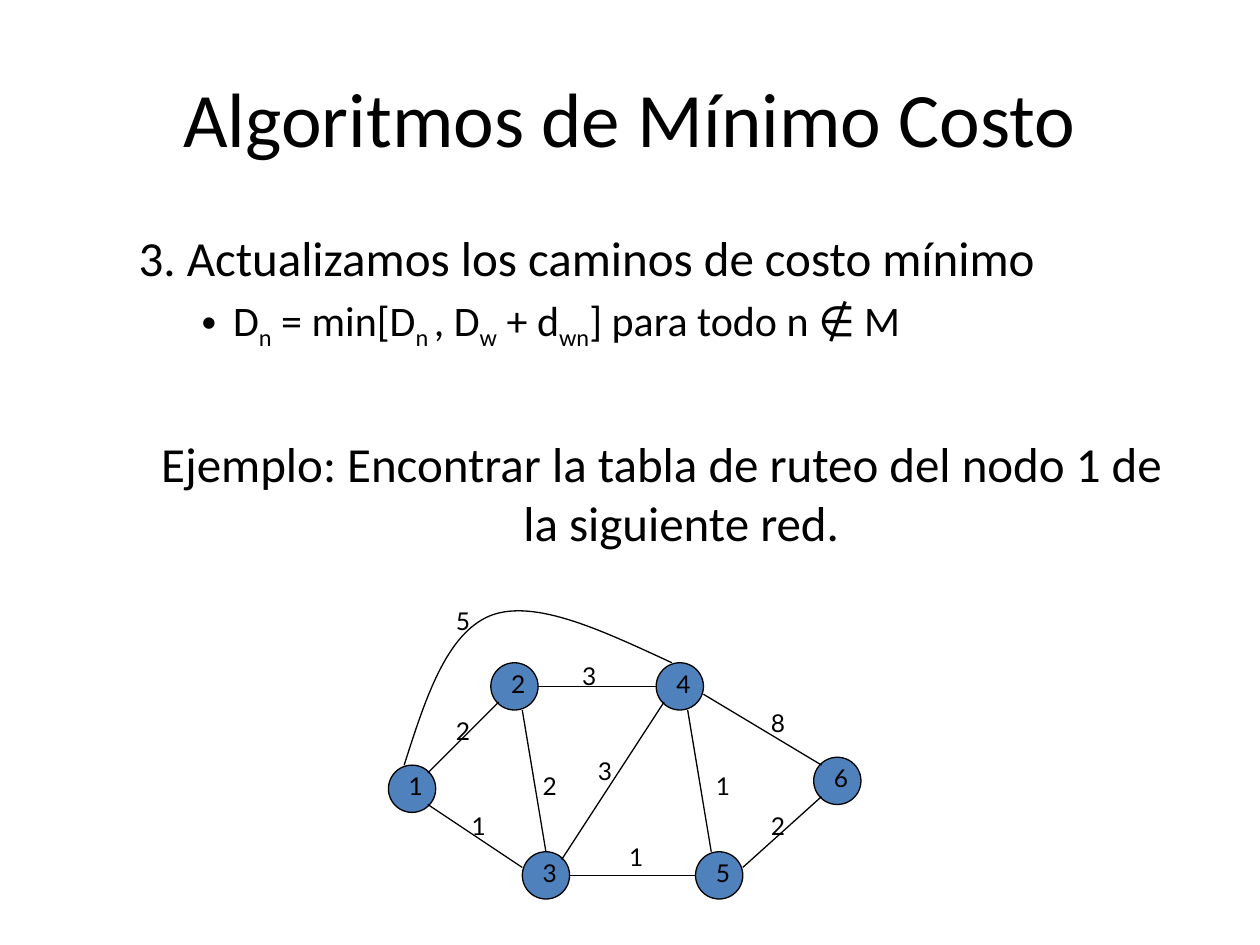
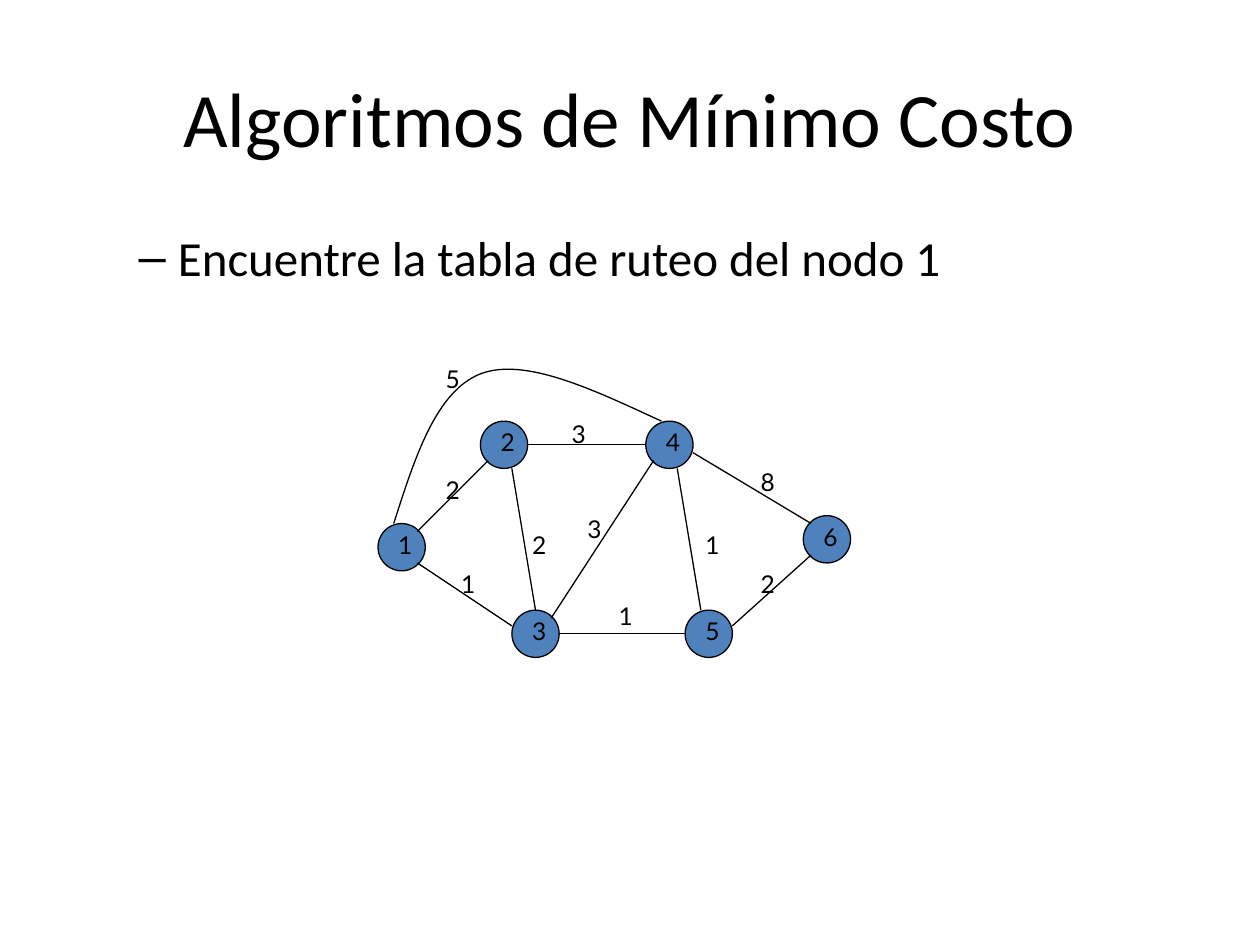
"""Build two slides on minimum-cost routing over a small network."""
from dataclasses import dataclass

from lxml.etree import SubElement
from pptx import Presentation
from pptx.dml.color import RGBColor
from pptx.enum.shapes import MSO_CONNECTOR, MSO_SHAPE
from pptx.enum.text import PP_ALIGN
from pptx.oxml.ns import qn
from pptx.util import Cm, Pt


@dataclass(frozen=True)
class Theme:
    """Colours, fonts and type sizes of both slides."""
    ink: RGBColor = RGBColor(0, 0, 0)
    node: RGBColor = RGBColor(0x4F, 0x81, 0xBD)
    font: str = "Calibri"
    digit: str = "Lato"
    title: int = 44
    main: int = 28
    sub: int = 24
    label: int = 14
    line: float = 0.75


LOOK = Theme()
STEP = Cm(2.54) / 16
SIZE = 6
TITLE = "Algoritmos de Mínimo Costo"
NODES = {1: (0, 13), 2: (13, 0), 3: (17, 24),
         4: (34, 0), 5: (39, 24), 6: (54, 12)}
EDGES = [(5, 14, 14, 5), (5, 18, 17, 26), (17, 6, 20, 24),
         (22, 25, 35, 5), (19, 3, 34, 3), (23, 27, 39, 27),
         (38, 6, 41, 24), (40, 4, 55, 13), (45, 26, 55, 17)]
ARC = [(2, 13), (4.67, 4.67), (7.33, -3.75), (13, -6),
       (18.67, -8.17), (27.33, -4), (36, 0)]
LEFT, MID = PP_ALIGN.LEFT, PP_ALIGN.CENTER
COSTS = [(5, 7, -8, 4, LEFT), (2, 7, 6, 4, LEFT), (1, 9, 18, 3.2, MID),
         (2, 18, 13, 4, MID), (3, 23, -1, 5, MID), (3, 25, 11, 5, MID),
         (1, 29, 22, 3.2, LEFT), (1, 40, 13, 3.2, LEFT),
         (8, 47, 5, 4, LEFT), (2, 47, 18, 4, LEFT)]
RULE = [("D", 0), ("n", 1), (" = min[D", 0), ("n ", 1), (", D", 0),
        ("w", 1), (" + d", 0), ("wn", 1), ("] para todo n ∉ M", 0)]


def style(para, size, face=LOOK.font):
    """Set the font of a paragraph."""
    font = para.font
    font.name, font.size = face, Pt(size)
    font.color.rgb = LOOK.ink


def place(shape, left, top, width, height):
    """Move and size a shape, in centimetres."""
    shape.left, shape.top = Cm(left), Cm(top)
    shape.width, shape.height = Cm(width), Cm(height)


def start(deck):
    """Add a titled slide and return it with its body frame."""
    slide = deck.slides.add_slide(deck.slide_layouts[1])
    title, body = slide.shapes.title, slide.placeholders[1]
    place(title, 1.27, 0.76, 22.86, 3.18)
    place(body, 1.27, 4.45, 22.86, 12.57)
    title.text_frame.text = TITLE
    para = title.text_frame.paragraphs[0]
    para.alignment = MID
    style(para, LOOK.title)
    return slide, body.text_frame


def item(para, parts, level=1, mark=None, size=LOOK.main):
    """Fill a list paragraph with (text, is subscript) parts."""
    para.level = level
    props = para._p.get_or_add_pPr()
    if mark:
        SubElement(props, qn("a:buChar")).set("char", mark)
    else:
        SubElement(props, qn("a:buNone"))
    style(para, size)
    for text, low in parts:
        run = para.add_run()
        run.text = text
        if low:
            run._r.get_or_add_rPr().set("baseline", "-25000")


def ink(line):
    """Give a line the shared stroke."""
    line.color.rgb = LOOK.ink
    line.width = Pt(LOOK.line)


class Net:
    """A network drawn in one group on a grid of sixteenths."""

    def __init__(self, slide, left, top):
        """Open the group with its origin in centimetres."""
        self.shapes = slide.shapes.add_group_shape().shapes
        self.left, self.top = Cm(left), Cm(top)

    def at(self, x, y):
        """Turn grid steps into a slide position."""
        return round(self.left + x * STEP), round(self.top + y * STEP)

    def label(self, num, x, y, width, align=LEFT):
        """Write a number."""
        box = self.shapes.add_textbox(*self.at(x, y), round(width * STEP),
                                      Cm(0.84))
        frame = box.text_frame
        frame.word_wrap = True
        frame.text = str(num)
        para = frame.paragraphs[0]
        para.alignment = align
        style(para, LOOK.label, LOOK.digit)

    def node(self, num, x, y):
        """Draw a numbered node."""
        side = round(SIZE * STEP)
        dot = self.shapes.add_shape(MSO_SHAPE.OVAL, *self.at(x, y), side, side)
        dot.shadow.inherit = False
        dot.fill.solid()
        dot.fill.fore_color.rgb = LOOK.node
        ink(dot.line)
        self.label(num, x + 1, y, 5)

    def edge(self, x1, y1, x2, y2):
        """Draw a straight link."""
        link = self.shapes.add_connector(
            MSO_CONNECTOR.STRAIGHT, *self.at(x1, y1), *self.at(x2, y2))
        ink(link.line)
        SubElement(link._element.spPr, qn("a:effectLst"))

    def arc(self, points):
        """Draw a link of cubic curves through control points."""
        spots = [self.at(*point) for point in points]
        pen = self.shapes.build_freeform(*spots[0])
        pen.add_line_segments(spots[1:], close=False)
        curve = pen.convert_to_shape()
        curve.shadow.inherit = False
        curve.fill.background()
        ink(curve.line)
        route = next(curve._element.iter(qn("a:path")))
        legs = route.findall(qn("a:lnTo"))
        for first in range(0, len(legs), 3):
            bend = SubElement(route, qn("a:cubicBezTo"))
            for leg in legs[first:first + 3]:
                bend.append(leg[0])
                route.remove(leg)

    def draw(self):
        """Draw nodes, links and costs."""
        for num, spot in NODES.items():
            self.node(num, *spot)
        for ends in EDGES:
            self.edge(*ends)
        self.arc(ARC)
        for cost in COSTS:
            self.label(*cost)


def update(deck):
    """Add the slide with the update step and the example."""
    slide, frame = start(deck)
    item(frame.paragraphs[0],
         [("3. Actualizamos los caminos de costo mínimo", 0)])
    item(frame.add_paragraph(), RULE, 2, "•", LOOK.sub)
    last = frame.add_paragraph()
    item(last, [("Ejemplo: Encontrar la tabla de ruteo del nodo 1 de "
                 "la siguiente red.", 0)])
    last.alignment = MID
    last.space_before = Pt(47)
    Net(slide, 7.83, 13.36).draw()


def task(deck):
    """Add the slide that asks for the routing table."""
    slide, frame = start(deck)
    item(frame.paragraphs[0],
         [("Encuentre la tabla de ruteo del nodo 1", 0)], mark="–")
    Net(slide, 7.62, 8.49).draw()


def main():
    """Build and save the deck."""
    deck = Presentation()
    deck.slide_width, deck.slide_height = Cm(25.4), Cm(19.05)
    update(deck)
    task(deck)
    deck.save("out.pptx")


main()
